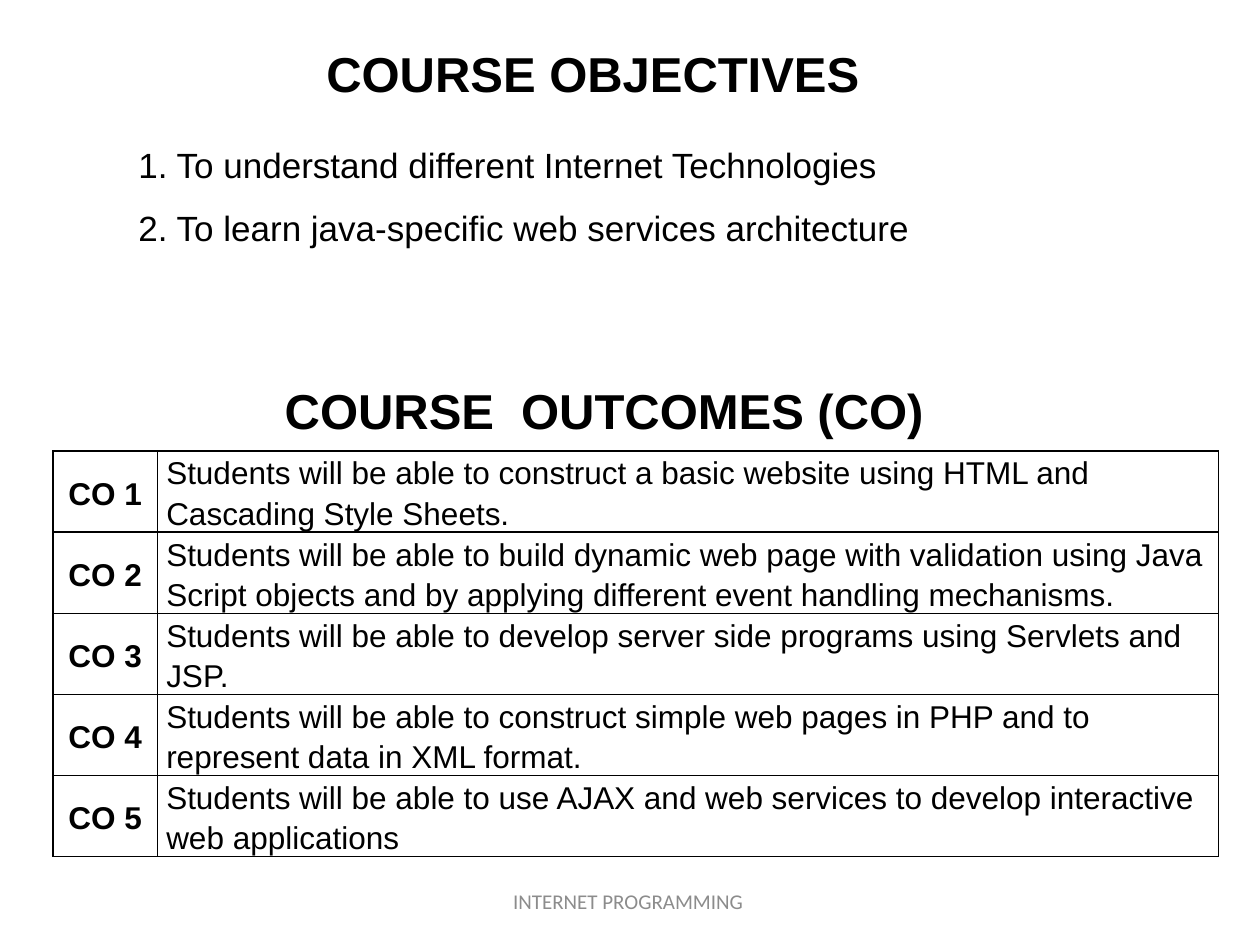
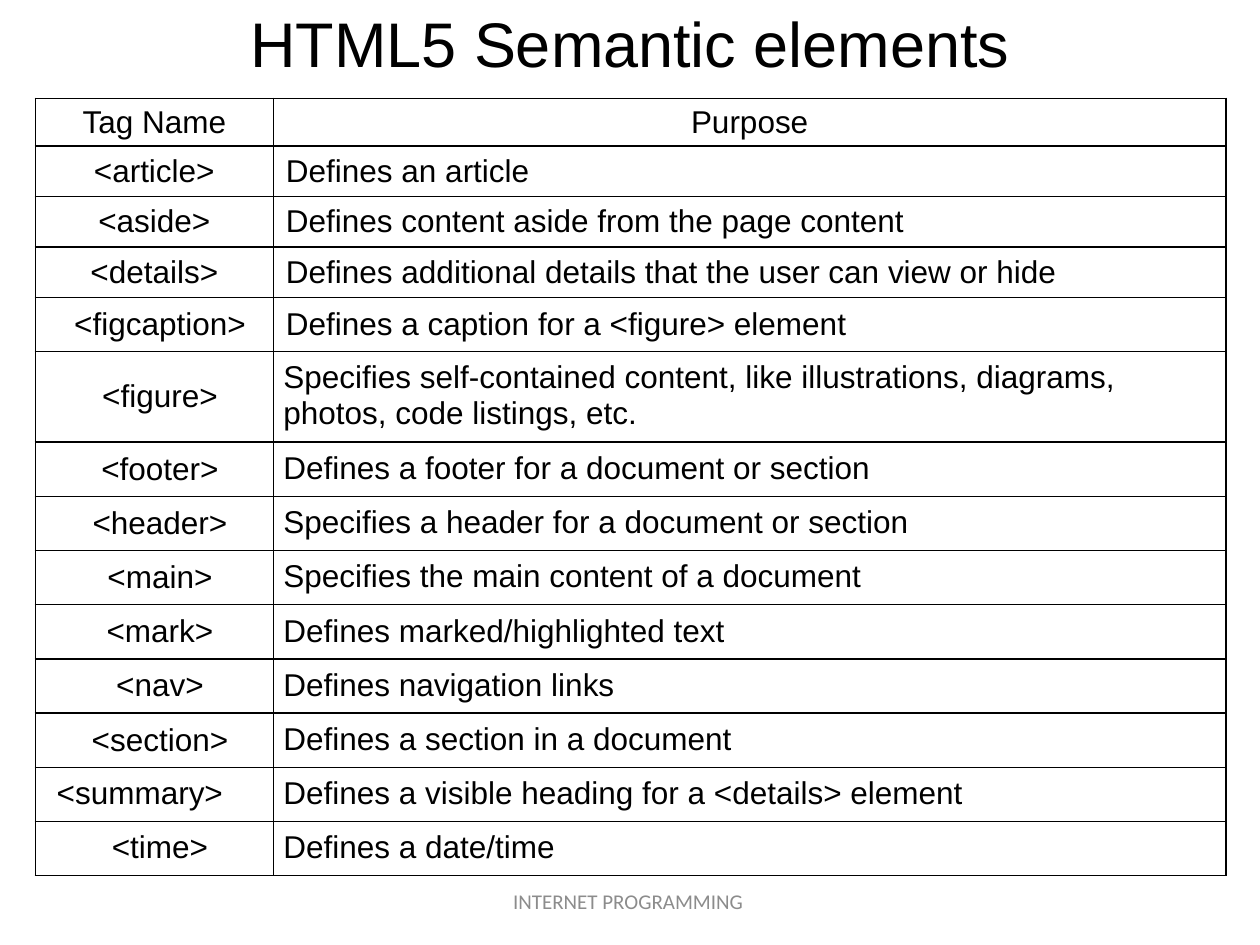
from lxml import etree
from pptx import Presentation
from pptx.dml.color import RGBColor
from pptx.enum.text import MSO_ANCHOR, MSO_AUTO_SIZE, PP_ALIGN
from pptx.oxml.ns import qn
from pptx.util import Inches, Pt

BLACK = RGBColor(0x00, 0x00, 0x00)
GREY = RGBColor(0x8C, 0x8C, 0x8C)
LEFT, CENTER, JUSTIFY = PP_ALIGN.LEFT, PP_ALIGN.CENTER, PP_ALIGN.JUSTIFY
TOP, MIDDLE = MSO_ANCHOR.TOP, MSO_ANCHOR.MIDDLE
FIXED = MSO_AUTO_SIZE.NONE

FOOTER = "INTERNET PROGRAMMING "
OBJECTIVES = [
    "1. To understand different Internet Technologies",
    "2. To learn java-specific web services architecture",
]
OUTCOMES = [
    "Students will be able to construct a basic website using HTML and Cascading Style Sheets.",
    "Students will be able to build dynamic web page with validation using Java Script objects "
    "and by applying different event handling mechanisms.",
    "Students will be able to develop server side programs using Servlets and JSP.",
    "Students will be able to construct simple web pages in PHP and to represent data in XML format.",
    "Students will be able to use AJAX and web services to develop interactive web applications",
]
TAGS = [
    ("Tag Name", "Purpose"),
    ("<article>", "Defines an article"),
    ("<aside>", "Defines content aside from the page content"),
    ("<details>", "Defines additional details that the user can view or hide"),
    ("<figcaption>", "Defines a caption for a <figure> element"),
    ("<figure>", "Specifies self-contained content, like illustrations, diagrams, photos, "
                 "code listings, etc."),
    ("<footer>", "Defines a footer for a document or section"),
    ("<header>", "Specifies a header for a document or section"),
    ("<main>", "Specifies the main content of a document"),
    ("<mark>", "Defines marked/highlighted text"),
    ("<nav>", "Defines navigation links"),
    ("<section>", "Defines a section in a document"),
    ("<summary>", "Defines a visible heading for a <details> element"),
    ("<time>", "Defines a date/time"),
]

PLAIN_INSETS = (0.1, 0.05, 0.1, 0.05)
OUTCOME_INSETS = (0.07, 0, 0.07, 0)
TAG_INSETS = (0.17, 0.07, 0.08, 0.07)
PURPOSE_INSETS = (0.08, 0.07, 0.08, 0.07)


def write(tf, lines, size, bold=False, color=BLACK, align=CENTER, spacing=None, font="Arial"):
    for i, line in enumerate(lines):
        p = tf.paragraphs[0] if i == 0 else tf.add_paragraph()
        p.text = line
        p.alignment = align
        p.line_spacing = spacing
        p.font.name = font
        p.font.size = Pt(size)
        p.font.bold = bold
        p.font.color.rgb = color


def fill_frame(s, lines, size, **style):
    tf = s.text_frame
    tf.word_wrap = True
    tf.auto_size = FIXED
    tf.vertical_anchor = MIDDLE
    write(tf, lines, size, **style)


def add_text(slide, box, lines, size, **style):
    s = slide.shapes.add_textbox(*map(Inches, box))
    fill_frame(s, lines, size, **style)


def add_slide(prs, title, box, size, bold):
    slide = prs.slides.add_slide(prs.slide_layouts[5])
    s = slide.shapes.title
    s.left, s.top, s.width, s.height = map(Inches, box)
    fill_frame(s, [title], size, bold=bold)
    return slide


def add_footer(slide):
    add_text(slide, (3.42, 6.95, 3.17, 0.4), [FOOTER], 12, color=GREY, font="Calibri")


def add_grid(slide, left, top, widths, heights):
    frame = slide.shapes.add_table(len(heights), len(widths), Inches(left), Inches(top),
                                   Inches(sum(widths)), Inches(sum(heights)))
    table = frame.table
    table.first_row = table.horz_banding = False
    for column, width in zip(table.columns, widths):
        column.width = Inches(width)
    for row, height in zip(table.rows, heights):
        row.height = Inches(height)
    return table


def set_cell(cell, text, insets, anchor=MIDDLE, **style):
    cell.margin_left, cell.margin_top, cell.margin_right, cell.margin_bottom = map(Inches, insets)
    cell.vertical_anchor = anchor
    write(cell.text_frame, [text], 18, **style)
    props = cell._tc.get_or_add_tcPr()
    for side in ("a:lnL", "a:lnR", "a:lnT", "a:lnB"):
        line = etree.SubElement(props, qn(side), w=str(Pt(1)))
        fill = etree.SubElement(line, qn("a:solidFill"))
        etree.SubElement(fill, qn("a:srgbClr"), val=str(BLACK))
    cell.fill.background()


def build_course(prs):
    slide = add_slide(prs, "COURSE  OUTCOMES (CO)", (0.92, 3, 7.75, 0.5), 28, True)
    table = add_grid(slide, 0.42, 3.58, (0.83, 8.42), [0.64] * len(OUTCOMES))
    for i, outcome in enumerate(OUTCOMES):
        set_cell(table.cell(i, 0), f"CO {i + 1}", OUTCOME_INSETS, bold=True, spacing=1.15)
        set_cell(table.cell(i, 1), outcome, OUTCOME_INSETS, align=LEFT, spacing=1.15)
    add_text(slide, (0.83, 0.33, 7.75, 0.5), ["COURSE OBJECTIVES"], 28, bold=True)
    add_text(slide, (1, 0.92, 8, 1.11), OBJECTIVES, 20, align=LEFT, spacing=1.5)
    add_footer(slide)


def build_semantic(prs):
    slide = add_slide(prs, "HTML5 Semantic elements", (0.5, -0.01, 9, 0.69), 36, False)
    heights = [0.38] + [0.4] * 3 + [0.43, 0.72] + [0.43] * 8
    table = add_grid(slide, 0.28, 0.78, (1.89, 7.56), heights)
    for i, (tag, purpose) in enumerate(TAGS):
        set_cell(table.cell(i, 0), tag,
                 PLAIN_INSETS if i < 4 else TAG_INSETS,
                 anchor=MIDDLE if 0 < i < 12 else TOP,
                 align=LEFT if tag == "<summary>" else CENTER)
        set_cell(table.cell(i, 1), purpose,
                 PLAIN_INSETS if i < 5 else PURPOSE_INSETS,
                 anchor=MIDDLE if 0 < i < 5 else TOP,
                 align=CENTER if i == 0 else JUSTIFY if i < 5 else LEFT)
    add_footer(slide)


def main():
    prs = Presentation()
    prs.slide_width, prs.slide_height = Inches(10), Inches(7.5)
    build_course(prs)
    build_semantic(prs)
    prs.save("out.pptx")


if __name__ == "__main__":
    main()
